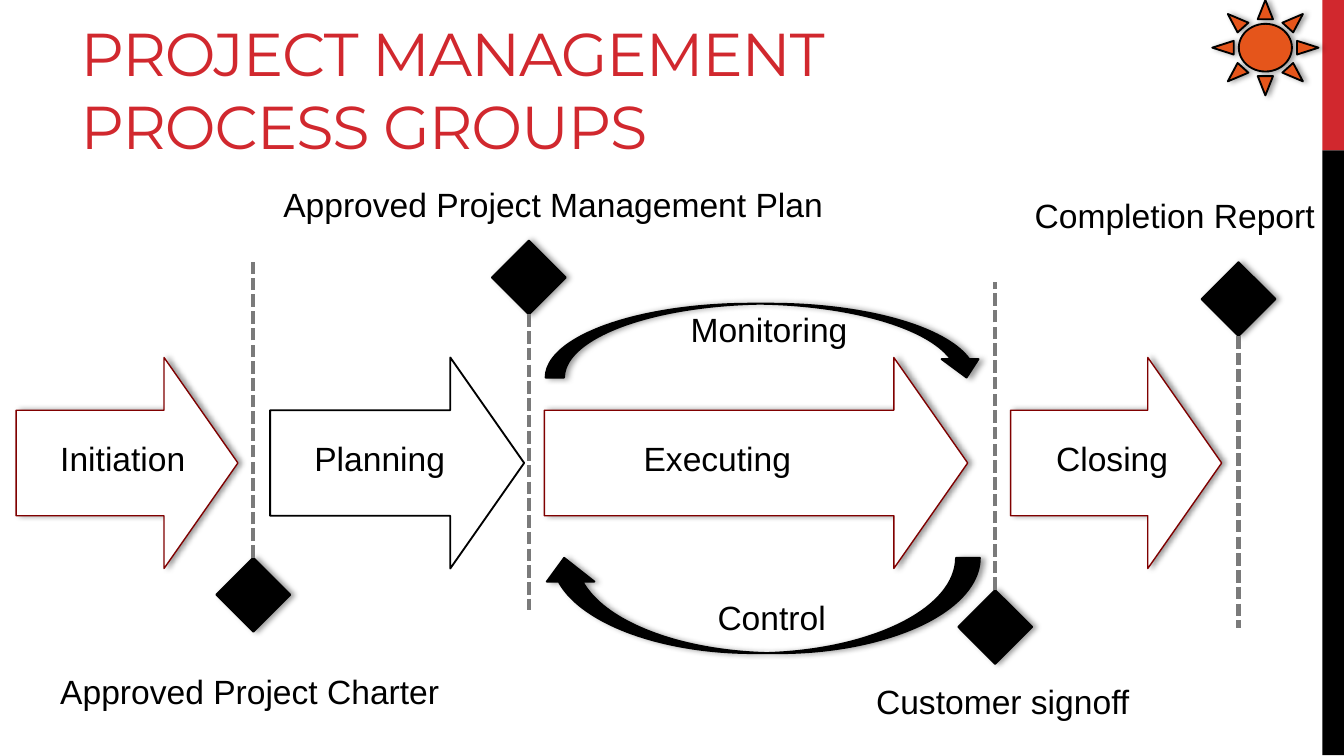
from lxml import etree
from pptx import Presentation
from pptx import util as u
from pptx.dml.color import RGBColor
from pptx.enum import dml, shapes, text
from pptx.oxml.ns import qn

Inches, Pt = u.Inches, u.Pt
MSO = shapes.MSO_SHAPE
RED, BLACK, WHITE, MAROON, GREY = "D1282E", "000000", "FFFFFF", "800000", "7A7A7A"
ARROW_H, ARROW_MID = 1.57, 3.445
DIAMOND = 0.55


def rgb(value):
    return RGBColor.from_string(value)


def add_effects(sp, shadow):
    """Give the shape an effect list, with a soft shadow to the right if asked."""
    effects = etree.SubElement(sp._element.spPr, qn("a:effectLst"))
    if shadow:
        outer = etree.SubElement(effects, qn("a:outerShdw"), blurRad=str(Pt(3.1)),
                                 dist=str(Pt(1.8)), dir="0", rotWithShape="0")
        color = etree.SubElement(outer, qn("a:srgbClr"), val=BLACK)
        etree.SubElement(color, qn("a:alpha"), val="40000")


def add_shape(parent, kind, x, y, w, h, fill=None, line=None, width=1, shadow=True):
    sp = parent.add_shape(kind, Inches(x), Inches(y), Inches(w), Inches(h))
    if fill:
        sp.fill.solid()
        sp.fill.fore_color.rgb = rgb(fill)
    else:
        sp.fill.background()
    if line:
        sp.line.color.rgb = rgb(line)
        sp.line.width = Pt(width)
    else:
        sp.line.fill.background()
    add_effects(sp, shadow)
    return sp


def write(tf, words, font="Arial", size=18, color=BLACK, spacing=None):
    r = tf.paragraphs[0].add_run()
    r.text = words
    r.font.name, r.font.size, r.font.color.rgb = font, Pt(size), rgb(color)
    if spacing is not None:
        r._r.get_or_add_rPr().set("spc", str(round(spacing * 100)))


def add_title(s, words):
    title = s.shapes.title
    title.left, title.top = Inches(0.5), Inches(0.13)
    title.width, title.height = Inches(7.65), Inches(1.12)
    tf = title.text_frame
    tf.word_wrap = True
    tf.auto_size = text.MSO_AUTO_SIZE.NONE
    tf.vertical_anchor = text.MSO_ANCHOR.BOTTOM
    write(tf, words, font="Montserrat", size=32.4, color=RED, spacing=-0.6)
    tf.paragraphs[0].alignment = text.PP_ALIGN.LEFT


def add_label(s, words, x, y, w):
    tf = s.shapes.add_textbox(Inches(x), Inches(y), Inches(w), Inches(0.4)).text_frame
    tf.word_wrap = False
    tf.auto_size = text.MSO_AUTO_SIZE.SHAPE_TO_FIT_TEXT
    write(tf, words)


def add_phase(s, x, length, **style):
    """Add a down arrow turned to point right, spanning length from x."""
    sp = add_shape(s.shapes, MSO.DOWN_ARROW, x + (length - ARROW_H) / 2,
                   ARROW_MID - length / 2, ARROW_H, length, **style)
    sp.rotation = 270
    sp.adjustments[0], sp.adjustments[1] = 0.5, 0.35


def add_loop(s, x, y, h, rotation=0):
    sp = add_shape(s.shapes, MSO.CURVED_UP_ARROW, x, y, 3.27, h, BLACK, BLACK)
    sp._element.spPr.get_or_add_xfrm().set("flipV", "1")
    sp.rotation = rotation


def add_milestone(s, x, y, line_end):
    """Add a diamond at x, y and a dashed line from it to the height line_end."""
    group = s.shapes.add_group_shape().shapes
    diamond = add_shape(group, MSO.FLOWCHART_DECISION, x, y, DIAMOND, DIAMOND, BLACK, BLACK)
    site = 2 if line_end > y else 0
    mid = Inches(x + DIAMOND / 2)
    start = Inches(y + DIAMOND if site == 2 else y)
    line = group.add_connector(shapes.MSO_CONNECTOR.STRAIGHT, mid, start, mid, Inches(line_end))
    line.begin_connect(diamond, site)
    line.line.color.rgb = rgb(GREY)
    line.line.width = Pt(2.25)
    line.line.dash_style = dml.MSO_LINE.SQUARE_DOT
    add_effects(line, False)


def main():
    prs = Presentation()
    prs.slide_width = Inches(10)
    prs.slide_height = prs.slide_width * 9 // 16
    s = prs.slides.add_slide(prs.slide_layouts[5])

    add_shape(s.shapes, MSO.RECTANGLE, 9.84, 0, 0.16, 1.12, RED, shadow=False)
    add_shape(s.shapes, MSO.RECTANGLE, 9.84, 1.12, 0.16, 4.5, BLACK, shadow=False)
    add_title(s, "PROJECT MANAGEMENT PROCESS GROUPS")

    add_phase(s, 2.01, 1.89, line=BLACK, shadow=False)
    for x, length in ((4.05, 3.15), (7.52, 1.57), (0.12, 1.65)):
        add_phase(s, x, length, fill=WHITE, line=MAROON, width=0.75)
    for words, x, w in (("Initiation", 0.35, 1.14), ("Planning", 2.24, 1.18),
                        ("Executing", 4.69, 1.31), ("Closing", 7.76, 1.04)):
        add_label(s, words, x, 3.21, w)

    add_loop(s, 4.06, 2.26, 0.55)
    add_label(s, "Monitoring", 5.04, 2.25, 1.38)
    add_loop(s, 4.02, 4.15, 0.71, rotation=180)
    add_label(s, "Control", 5.24, 4.39, 1.02)

    milestones = (
        ((1.61, 4.15, 1.95), ("Approved Project Charter", 0.35, 4.94, 3.06)),
        ((3.66, 1.79, 4.54), ("Approved Project Management Plan", 2.01, 1.32, 4.27)),
        ((7.13, 4.39, 2.1), ("Customer signoff", 6.42, 5.02, 2.12)),
        ((8.94, 1.95, 4.67), ("Completion Report", 7.6, 1.4, 2.31)),
    )
    for marker, label in milestones:
        add_milestone(s, *marker)
        add_label(s, *label)

    add_shape(s.shapes, MSO.SUN, 9.02, 0, 0.79, 0.71, "E5551B", BLACK)
    prs.save("out.pptx")


if __name__ == "__main__":
    main()
